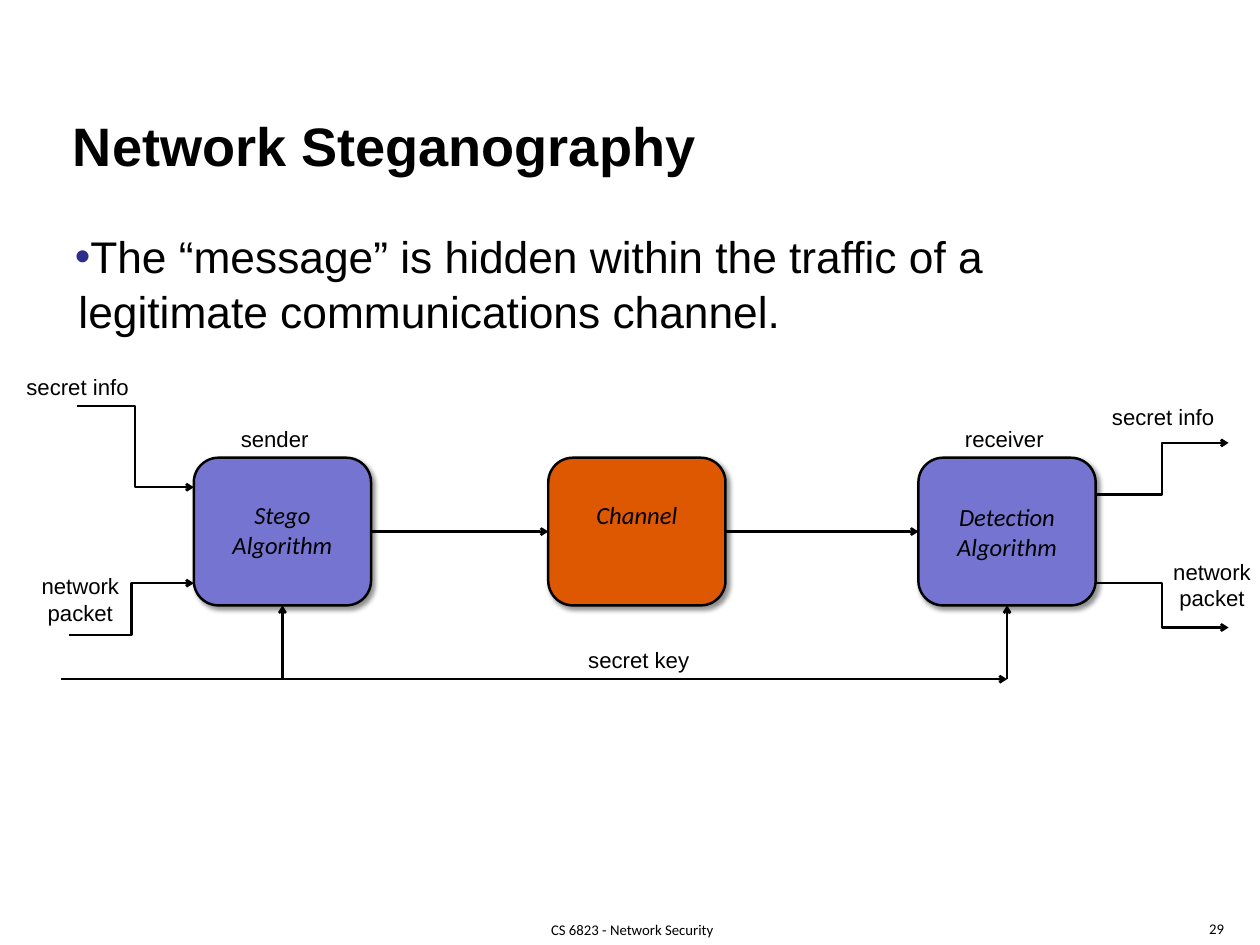
from dataclasses import dataclass
from typing import Any, Optional

import lxml.etree
import pptx
import pptx.dml.color
import pptx.enum.shapes
import pptx.enum.text
import pptx.oxml.ns
import pptx.util

EMU_PER_PX = 9525
Align = pptx.enum.text.PP_ALIGN
Anchor = pptx.enum.text.MSO_ANCHOR
ConnectorKind = pptx.enum.shapes.MSO_CONNECTOR
TOP, LEFT, BOTTOM, RIGHT = range(4)


@dataclass(frozen=True)
class Theme:
    ink: str = "000000"
    bullet: str = "2D2D8A"
    endpoint: str = "7575D1"
    channel: str = "DD5800"
    text_font: str = "Arial"
    block_font: str = "Calibri"
    title_size: int = 44
    body_size: int = 36
    block_size: int = 20
    label_size: int = 18
    footer_size: int = 12
    line_width: int = 2


THEME = Theme()


@dataclass(frozen=True)
class Box:
    left: int
    top: int
    width: int
    height: int


@dataclass(frozen=True)
class Block:
    text: str
    left: int
    fill: str
    anchor: Any
    inset_top: int


@dataclass(frozen=True)
class Label:
    text: str
    box: Box


@dataclass(frozen=True)
class Arrow:
    start: tuple[int, int]
    end: tuple[int, int]
    kind: Any = ConnectorKind.STRAIGHT
    source: Optional[tuple[str, int]] = None
    target: Optional[tuple[str, int]] = None


BLOCK_TOP, BLOCK_WIDTH, BLOCK_HEIGHT = 496, 192, 160
BLOCK_MIDDLE = BLOCK_TOP + BLOCK_HEIGHT // 2
BLOCK_BOTTOM = BLOCK_TOP + BLOCK_HEIGHT
STEGO_LEFT, CHANNEL_LEFT, DETECTION_LEFT = 210, 594, 995
STEGO_CENTRE = STEGO_LEFT + BLOCK_WIDTH // 2
DETECTION_CENTRE = DETECTION_LEFT + BLOCK_WIDTH // 2
DETECTION_RIGHT = DETECTION_LEFT + BLOCK_WIDTH
OUTPUT_END = 1331
KEY_Y = 736

BLOCKS = {
    "stego": Block("Stego\nAlgorithm", STEGO_LEFT, THEME.endpoint, Anchor.TOP, 38),
    "detection": Block("Detection\nAlgorithm", DETECTION_LEFT, THEME.endpoint, Anchor.MIDDLE, 5),
    "channel": Block("Channel", CHANNEL_LEFT, THEME.channel, Anchor.TOP, 38),
}
ARROWS = [
    Arrow((STEGO_LEFT + BLOCK_WIDTH, BLOCK_MIDDLE), (CHANNEL_LEFT, BLOCK_MIDDLE),
          source=("stego", RIGHT), target=("channel", LEFT)),
    Arrow((CHANNEL_LEFT + BLOCK_WIDTH, BLOCK_MIDDLE), (DETECTION_LEFT, BLOCK_MIDDLE),
          source=("channel", RIGHT), target=("detection", LEFT)),
    Arrow((66, KEY_Y), (DETECTION_CENTRE, KEY_Y)),
    Arrow((DETECTION_CENTRE, KEY_Y), (DETECTION_CENTRE, BLOCK_BOTTOM), target=("detection", BOTTOM)),
    Arrow((STEGO_CENTRE, KEY_Y), (STEGO_CENTRE, BLOCK_BOTTOM), target=("stego", BOTTOM)),
    Arrow((83, 440), (STEGO_LEFT, 528), ConnectorKind.ELBOW),
    Arrow((75, 688), (STEGO_LEFT, 632), ConnectorKind.ELBOW),
    Arrow((DETECTION_RIGHT, 536), (OUTPUT_END, 480), ConnectorKind.ELBOW),
    Arrow((DETECTION_RIGHT, 632), (OUTPUT_END, 680), ConnectorKind.ELBOW),
]
LABELS = [
    Label("secret key", Box(627, 696, 130, 38)),
    Label("sender", Box(251, 456, 93, 38)),
    Label("receiver", Box(1035, 456, 106, 38)),
    Label("secret info", Box(18, 400, 132, 38)),
    Label("secret info", Box(1194, 432, 132, 38)),
    Label("network\npacket", Box(35, 616, 104, 68)),
    Label("network\npacket", Box(1261, 600, 104, 68)),
]


def px(length: int) -> pptx.util.Emu:
    return pptx.util.Emu(length * EMU_PER_PX)


def rgb(colour: str) -> pptx.dml.color.RGBColor:
    return pptx.dml.color.RGBColor.from_string(colour)


def bounds(box: Box) -> tuple:
    return px(box.left), px(box.top), px(box.width), px(box.height)


def add_xml(parent: Any, tag: str, **attributes: str) -> Any:
    return lxml.etree.SubElement(parent, pptx.oxml.ns.qn(tag), attributes)


def apply(target: Any, values: dict[str, Any]) -> None:
    for name, value in values.items():
        setattr(target, name, value)


def write(shape: Any, text: str, font: str, size: int, align: Any = Align.CENTER,
          bold: bool = False, italic: bool = False, **frame: Any) -> None:
    """Fill a shape with styled paragraphs; frame holds text frame settings."""
    apply(shape.text_frame, {"text": text, **frame})
    for paragraph in shape.text_frame.paragraphs:
        paragraph.alignment = align
        apply(paragraph.font, {"name": font, "size": pptx.util.Pt(size), "bold": bold, "italic": italic})
        paragraph.font.color.rgb = rgb(THEME.ink)


def margins(horizontal: int, vertical: int) -> dict[str, Any]:
    return {"margin_left": px(horizontal), "margin_right": px(horizontal),
            "margin_top": px(vertical), "margin_bottom": px(vertical)}


def place(shape: Any, box: Box) -> None:
    apply(shape, dict(zip(("left", "top", "width", "height"), bounds(box))))


def set_line(line: Any) -> None:
    line.color.rgb = rgb(THEME.ink)
    line.width = pptx.util.Pt(THEME.line_width)


def fill_placeholders(slide: Any) -> None:
    title, body = slide.placeholders
    frame = {"word_wrap": True, "auto_size": pptx.enum.text.MSO_AUTO_SIZE.NONE, **margins(13, 7)}
    place(title, Box(66, 112, 1229, 87))
    write(title, "Network Steganography", THEME.text_font, THEME.title_size, Align.LEFT,
          bold=True, vertical_anchor=Anchor.BOTTOM, **frame)
    place(body, Box(68, 239, 1229, 193))
    write(body, "The “message” is hidden within the traffic of a legitimate communications channel.",
          THEME.text_font, THEME.body_size, Align.LEFT,
          vertical_anchor=Anchor.TOP, **{**frame, "margin_right": px(22)})
    paragraph = body.text_frame.paragraphs[0]
    apply(paragraph, {"line_spacing": 1.04, "space_before": pptx.util.Pt(3)})
    properties = paragraph._p.get_or_add_pPr()
    properties.set("marL", str(px(4)))
    properties.set("indent", str(px(-4)))
    add_xml(add_xml(properties, "a:buClr"), "a:srgbClr", val=THEME.bullet)
    add_xml(properties, "a:buFont", typeface=THEME.text_font)
    add_xml(properties, "a:buChar", char="•")


def add_block(slide: Any, block: Block) -> Any:
    shape = slide.shapes.add_shape(
        pptx.enum.shapes.MSO_SHAPE.ROUNDED_RECTANGLE,
        *bounds(Box(block.left, BLOCK_TOP, BLOCK_WIDTH, BLOCK_HEIGHT)))
    shape.fill.solid()
    shape.fill.fore_color.rgb = rgb(block.fill)
    set_line(shape.line)
    shape.shadow.inherit = False
    effects = shape.element.spPr.find(pptx.oxml.ns.qn("a:effectLst"))
    shadow = add_xml(effects, "a:outerShdw", blurRad="50800", dist="38100", dir="2700000",
                     algn="tl", rotWithShape="0")
    add_xml(add_xml(shadow, "a:srgbClr", val=THEME.ink), "a:alpha", val="43000")
    write(shape, block.text, THEME.block_font, THEME.block_size, italic=True,
          vertical_anchor=block.anchor, margin_top=px(block.inset_top))
    return shape


def add_arrow(slide: Any, arrow: Arrow, blocks: dict[str, Any]) -> None:
    connector = slide.shapes.add_connector(arrow.kind, *map(px, arrow.start + arrow.end))
    for joint, connect in ((arrow.source, connector.begin_connect), (arrow.target, connector.end_connect)):
        if joint:
            connect(blocks[joint[0]], joint[1])
    set_line(connector.line)
    properties = connector.element.spPr
    add_xml(properties.find(pptx.oxml.ns.qn("a:ln")), "a:tailEnd", type="arrow")
    add_xml(properties, "a:effectLst")


def main() -> None:
    presentation = pptx.Presentation()
    apply(presentation, {"slide_width": px(1365), "slide_height": px(1024)})
    slide = presentation.slides.add_slide(presentation.slide_layouts[1])
    fill_placeholders(slide)
    blocks = {name: add_block(slide, block) for name, block in BLOCKS.items()}
    for arrow in ARROWS:
        add_arrow(slide, arrow, blocks)
    for label in LABELS:
        write(slide.shapes.add_textbox(*bounds(label.box)), label.text,
              THEME.text_font, THEME.label_size, word_wrap=False)
    footer = slide.shapes.add_textbox(*bounds(Box(584, 998, 202, 18)))
    write(footer, "CS 6823 - Network Security", THEME.block_font, THEME.footer_size,
          word_wrap=True, vertical_anchor=Anchor.MIDDLE, **margins(0, 0))
    number = slide.shapes.add_textbox(*bounds(Box(1297, 990, 68, 34)))
    write(number, "29", THEME.block_font, THEME.footer_size, Align.LEFT, word_wrap=False, **margins(13, 7))
    presentation.save("out.pptx")


if __name__ == "__main__":
    main()
